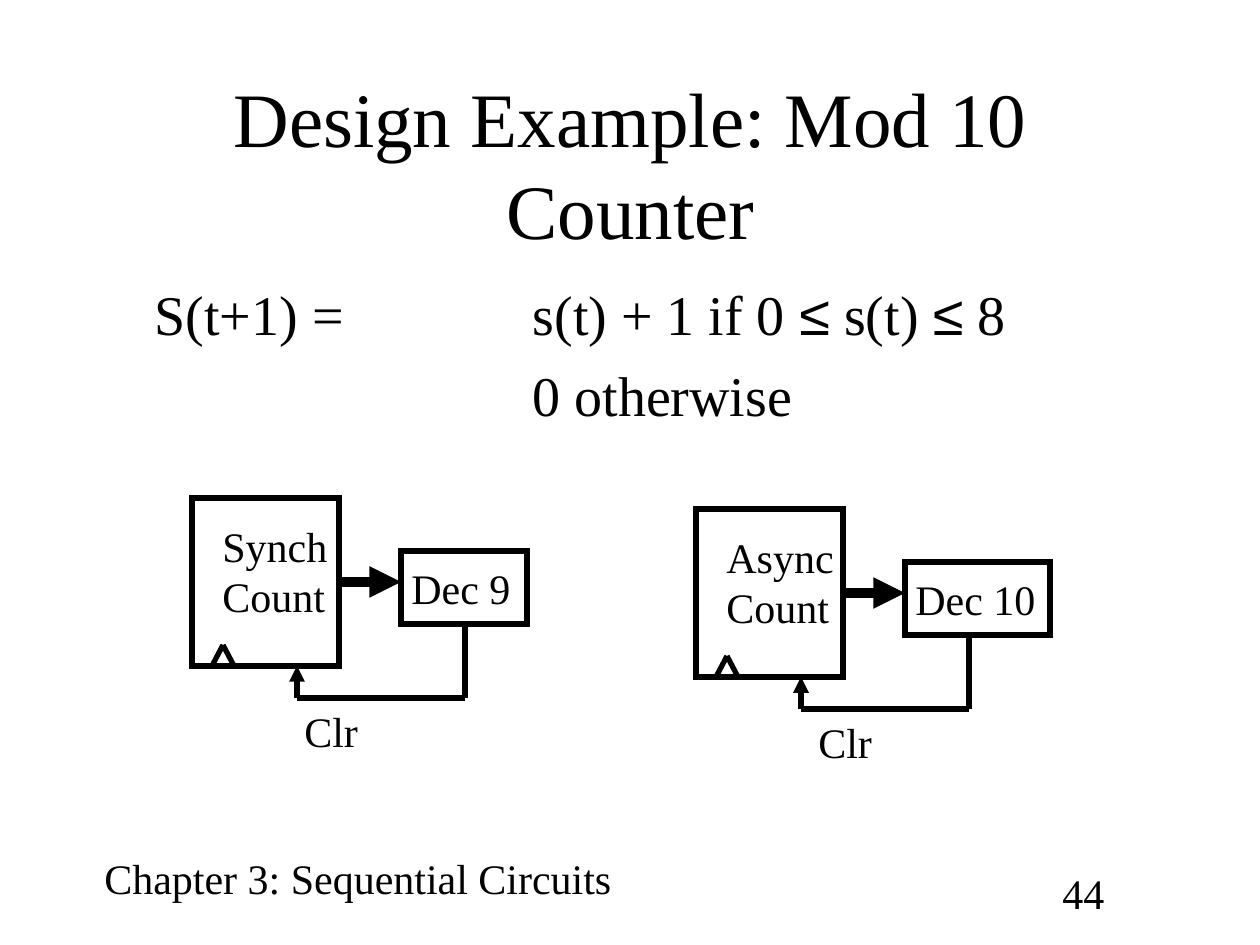
import pptx
import pptx.dml.color
import pptx.enum.shapes
import pptx.enum.text
import pptx.oxml.ns
import pptx.util
from lxml import etree

PX_PER_INCH = 126
INK = "000000"
SERIF = "Times New Roman"
SYMBOL_FONT = "Arial"
ANCHOR = pptx.enum.text.MSO_ANCHOR
ALIGN = pptx.enum.text.PP_ALIGN
FIT = pptx.enum.text.MSO_AUTO_SIZE


def emu(px):
    return round(px * pptx.util.Inches(1) / PX_PER_INCH)


def colour(hex_value):
    return pptx.dml.color.RGBColor.from_string(hex_value)


def apply(target, values):
    for attribute, value in values.items():
        setattr(target, attribute, value)


def add_child(parent, tag, **attributes):
    return etree.SubElement(parent, pptx.oxml.ns.qn(tag), attributes)


def place(element, left, top, width, height):
    apply(element, {"left": emu(left), "top": emu(top),
                    "width": emu(width), "height": emu(height)})


def write(paragraph, text, size):
    """Write text in the serif face, with each ≤ in the symbol font."""
    for index, part in enumerate(text.replace("≤", "|≤|").split("|")):
        run = paragraph.add_run()
        run.text = part
        apply(run.font, {"name": SYMBOL_FONT if index % 2 else SERIF,
                         "size": pptx.util.Pt(size)})
        run.font.color.rgb = colour(INK)


def add_label(slide, lines, left, top, width, height=63):
    label = slide.shapes.add_textbox(0, 0, 0, 0)
    place(label, left, top, width, height)
    frame = label.text_frame
    apply(frame, {"word_wrap": True, "auto_size": FIT.SHAPE_TO_FIT_TEXT})
    for index, line in enumerate(lines):
        paragraph = frame.add_paragraph() if index else frame.paragraphs[0]
        write(paragraph, line, 24)


def add_block(slide, left, top, width, height):
    block = slide.shapes.add_shape(
        pptx.enum.shapes.MSO_SHAPE.RECTANGLE, 0, 0, 0, 0)
    place(block, left, top, width, height)
    block.shadow.inherit = False
    block.fill.background()
    block.line.color.rgb = colour(INK)
    block.line.width = pptx.util.Pt(3)
    add_child(block.line._get_or_add_ln(), "a:miter", lim="800000")


def add_wire(slide, start, end, width=3, arrow=False):
    wire = slide.shapes.add_connector(
        pptx.enum.shapes.MSO_CONNECTOR.STRAIGHT,
        *map(emu, start), *map(emu, end))
    wire.line.color.rgb = colour(INK)
    wire.line.width = pptx.util.Pt(width)
    if arrow:
        add_child(wire.line._get_or_add_ln(), "a:tailEnd", type="triangle")
    add_child(wire._element.spPr, "a:effectLst")


def add_path(slide, points, arrow=False):
    """Join the points with wires; the last one may carry an arrowhead."""
    for index, (start, end) in enumerate(zip(points, points[1:])):
        add_wire(slide, start, end, arrow=arrow and index == len(points) - 2)


def add_counter(slide, left, top, kind, decoder, decoder_width, clear_x):
    """Draw a counter, its decoder and the clear loop from its top left."""
    def at(*offsets):
        return [(left + x, top + y) for x, y in offsets]

    add_block(slide, left, top, 147, 168)
    add_block(slide, left + 209, top + 53, decoder_width, 73)
    add_wire(slide, *at((147, 84), (209, 84)), width=6, arrow=True)
    add_path(slide, at((273, 126), (273, 200), (105, 200), (105, 168)), arrow=True)
    add_path(slide, at((20, 168), (31, 147), (42, 168)))
    add_label(slide, [decoder], left + 207, top + 58, decoder_width + 6)
    add_label(slide, [kind, "Count"], left + 18, top + 16, 140, 113)
    add_label(slide, ["Clr"], left + clear_x, top + 201, 86)


def fill_title(title, text):
    place(title, 95, 84, 1071, 158)
    apply(title.text_frame, {"vertical_anchor": ANCHOR.MIDDLE,
                             "word_wrap": True, "auto_size": FIT.NONE})
    paragraph = title.text_frame.paragraphs[0]
    paragraph.alignment = ALIGN.CENTER
    write(paragraph, text, 44)


def fill_equations(body, lines):
    """Write each (first-line indent, text); the cases share one margin."""
    place(body, 95, 273, 1071, 567)
    frame = body.text_frame
    apply(frame, {"vertical_anchor": ANCHOR.TOP,
                  "word_wrap": True, "auto_size": FIT.NONE})
    for index, (indent, line) in enumerate(lines):
        paragraph = frame.add_paragraph() if index else frame.paragraphs[0]
        properties = paragraph._p.get_or_add_pPr()
        properties.set("marL", str(emu(425)))
        properties.set("indent", str(emu(indent)))
        add_child(properties, "a:buNone")
        paragraph.space_before = pptx.util.Pt(8 if index else 0)
        write(paragraph, line, 32)


def main():
    deck = pptx.Presentation()
    apply(deck, {"slide_width": emu(1260), "slide_height": emu(945)})
    slide = deck.slides.add_slide(deck.slide_layouts[1])

    add_label(slide, ["Chapter 3: Sequential Circuits"], 92, 846, 570)
    add_label(slide, ["44"], 1050, 861, 116)
    fill_title(slide.shapes.title, "Design Example: Mod 10 Counter")
    fill_equations(slide.placeholders[1], [
        (-378, "S(t+1) =\ts(t) + 1 if 0 ≤ s(t) ≤ 8"),
        (0, "0 otherwise"),
    ])
    add_counter(slide, 192, 498, "Synch", "Dec 9", 126, 100)
    add_counter(slide, 696, 509, "Async", "Dec 10", 145, 110)
    deck.save("out.pptx")


if __name__ == "__main__":
    main()
